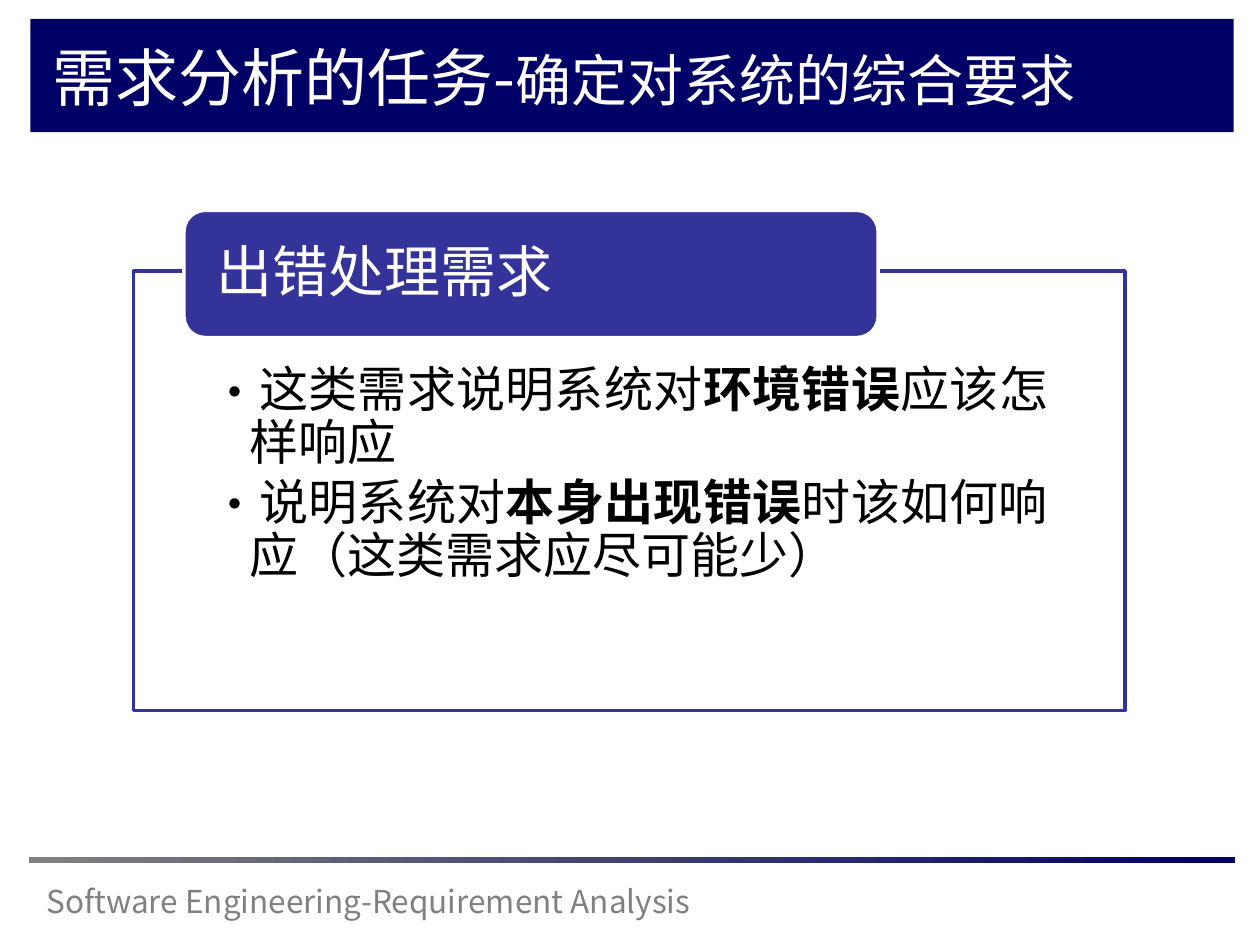
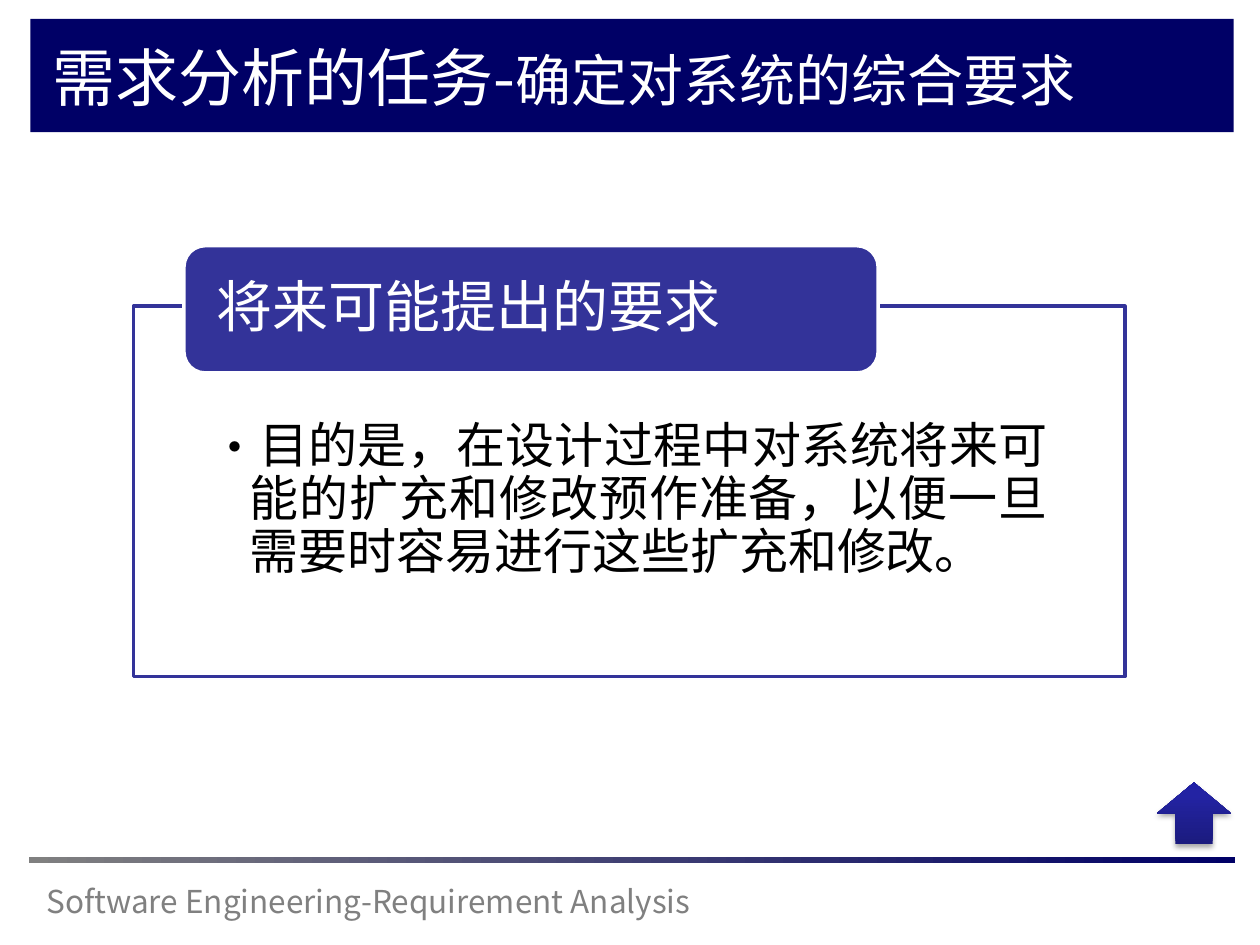
from lxml.etree import SubElement
from pptx import Presentation
from pptx.dml.color import RGBColor
from pptx.enum.shapes import MSO_SHAPE
from pptx.enum.text import MSO_ANCHOR, PP_ALIGN
from pptx.oxml.ns import qn
from pptx.util import Pt

FONT = "Noto Sans CJK SC"
NAVY, INDIGO, GRAY, WHITE, BLACK = "000066", "333399", "808080", "FFFFFF", "000000"

TITLE = [("需求分析的任务-", 36), ("确定对系统的综合要求", 32)]
FOOTER = "Software Engineering-Requirement Analysis"

# Each bullet is a list of (text, bold) runs.
REQUIREMENTS = [
    {
        "heading": "出错处理需求",
        "panel_top": 154.8, "panel_height": 251.3, "text_inset": 54,
        "bullets": [
            [("这类需求说明系统对", False), ("环境错误", True), ("应该怎样响应", False)],
            [("说明系统对", False), ("本身出现错误", True),
             ("时该如何响应（这类需求应尽可能少）", False)],
        ],
        "up_arrow": False,
    },
    {
        "heading": "将来可能提出的要求",
        "panel_top": 175, "panel_height": 211.7, "text_inset": 65.5,
        "bullets": [
            [("目的是，在设计过程中对系统将来可能的扩充和修改预作准备，"
              "以便一旦需要时容易进行这些扩充和修改。", False)],
        ],
        "up_arrow": True,
    },
]

TITLE_BAND = (17.3, 10.8, 687.6, 64.8)
TITLE_TEXT = (23, 18.7, 634.3, 53.3)
FOOTER_RULE = (16.6, 489.6, 689, 3.6)
FOOTER_TEXT = (19.4, 500.4, 396.7, 28.8)
UP_ARROW = (661, 447.1, 42.5, 35.3)
PANEL_LEFT, PANEL_WIDTH = 76.3, 566.6
TAB_LEFT, TAB_WIDTH, TAB_HEIGHT, TAB_RISE = 105.1, 396.7, 72.7, 34.6
BULLET_INDENT = 22.5


def color(hex_code):
    return RGBColor.from_string(hex_code)


def add_block(slide, preset, place, fill=None, line=None):
    block = slide.shapes.add_shape(preset, *map(Pt, place))
    block.shadow.inherit = False
    if fill:
        block.fill.solid()
        block.fill.fore_color.rgb = color(fill)
    if line:
        block.line.color.rgb = color(line)
        block.line.width = Pt(2)
    else:
        block.line.fill.background()
    return block


def add_color_element(parent, hex_code, alpha=None):
    element = SubElement(parent, qn("a:srgbClr"), val=hex_code)
    if alpha is not None:
        SubElement(element, qn("a:alpha"), val=str(alpha * 1000))


def set_gradient(block, stops, angle):
    """Fill with (percent, colour) stops; the angle runs counterclockwise."""
    block.fill.gradient()
    block.fill.gradient_angle = angle
    stop_list = block.element.spPr.find(qn("a:gradFill")).find(qn("a:gsLst"))
    stop_list.clear()
    for percent, hex_code in stops:
        stop = SubElement(stop_list, qn("a:gs"), pos=str(percent * 1000))
        add_color_element(stop, hex_code)


def add_run(paragraph, text, size, hex_code, bold=False):
    run = paragraph.add_run()
    run.text = text
    run.font.size = Pt(size)
    run.font.name = FONT
    run.font.bold = bold
    run.font.color.rgb = color(hex_code)
    SubElement(run.font._element, qn("a:ea"), typeface=FONT)


def set_frame(frame, insets, anchor):
    frame.word_wrap = True
    frame.vertical_anchor = anchor
    (frame.margin_left, frame.margin_top,
     frame.margin_right, frame.margin_bottom) = map(Pt, insets)


def add_text_line(slide, place, runs, hex_code):
    frame = slide.shapes.add_textbox(*map(Pt, place)).text_frame
    set_frame(frame, (7.2, 3.6, 7.2, 3.6), MSO_ANCHOR.TOP)
    for text, size in runs:
        add_run(frame.paragraphs[0], text, size, hex_code)


def add_bullet_mark(paragraph):
    properties = paragraph._p.get_or_add_pPr()
    properties.set("marL", str(Pt(BULLET_INDENT)))
    properties.set("indent", str(-Pt(BULLET_INDENT)))
    SubElement(properties, qn("a:buFont"), typeface=FONT)
    SubElement(properties, qn("a:buChar"), char="•")


def add_common_parts(slide):
    add_block(slide, MSO_SHAPE.RECTANGLE, TITLE_BAND, NAVY)
    add_text_line(slide, FOOTER_TEXT, [(FOOTER, 18)], GRAY)
    rule = add_block(slide, MSO_SHAPE.RECTANGLE, FOOTER_RULE)
    set_gradient(rule, [(0, GRAY), (100, NAVY)], 0)
    add_text_line(slide, TITLE_TEXT, TITLE, WHITE)


def add_panel(slide, requirement):
    place = (PANEL_LEFT, requirement["panel_top"], PANEL_WIDTH, requirement["panel_height"])
    panel = add_block(slide, MSO_SHAPE.RECTANGLE, place, WHITE, INDIGO)
    panel_color = panel.element.spPr.find(qn("a:solidFill"))[0]
    SubElement(panel_color, qn("a:alpha"), val="90000")
    frame = panel.text_frame
    set_frame(frame, (44, requirement["text_inset"], 44, 16), MSO_ANCHOR.TOP)
    for index, runs in enumerate(requirement["bullets"]):
        paragraph = frame.add_paragraph() if index else frame.paragraphs[0]
        add_bullet_mark(paragraph)
        paragraph.alignment = PP_ALIGN.JUSTIFY
        paragraph.line_spacing = 0.9
        paragraph.space_after = Pt(4)
        for text, bold in runs:
            add_run(paragraph, text, 28, BLACK, bold)


def add_heading_tab(slide, requirement):
    place = (TAB_LEFT, requirement["panel_top"] - TAB_RISE, TAB_WIDTH, TAB_HEIGHT)
    tab = add_block(slide, MSO_SHAPE.ROUNDED_RECTANGLE, place, INDIGO, WHITE)
    set_frame(tab.text_frame, (15, 0, 15, 0), MSO_ANCHOR.MIDDLE)
    paragraph = tab.text_frame.paragraphs[0]
    paragraph.alignment = PP_ALIGN.LEFT
    paragraph.line_spacing = 0.9
    add_run(paragraph, requirement["heading"], 32, WHITE)


def add_up_arrow(slide):
    arrow = add_block(slide, MSO_SHAPE.UP_ARROW, UP_ARROW)
    set_gradient(arrow, [(0, "1B1B7E"), (80, "2323A3"), (100, "2020A6")], 90)
    effects = arrow.element.spPr.find(qn("a:effectLst"))
    shadow = SubElement(effects, qn("a:outerShdw"), blurRad=str(Pt(3.1)),
                        dist=str(Pt(1.8)), dir="5400000", rotWithShape="0")
    add_color_element(shadow, BLACK, 35)


def main():
    deck = Presentation()
    deck.slide_width, deck.slide_height = Pt(720), Pt(540)
    for requirement in REQUIREMENTS:
        slide = deck.slides.add_slide(deck.slide_layouts[6])
        add_common_parts(slide)
        add_panel(slide, requirement)
        add_heading_tab(slide, requirement)
        if requirement["up_arrow"]:
            add_up_arrow(slide)
    deck.save("out.pptx")


if __name__ == "__main__":
    main()
